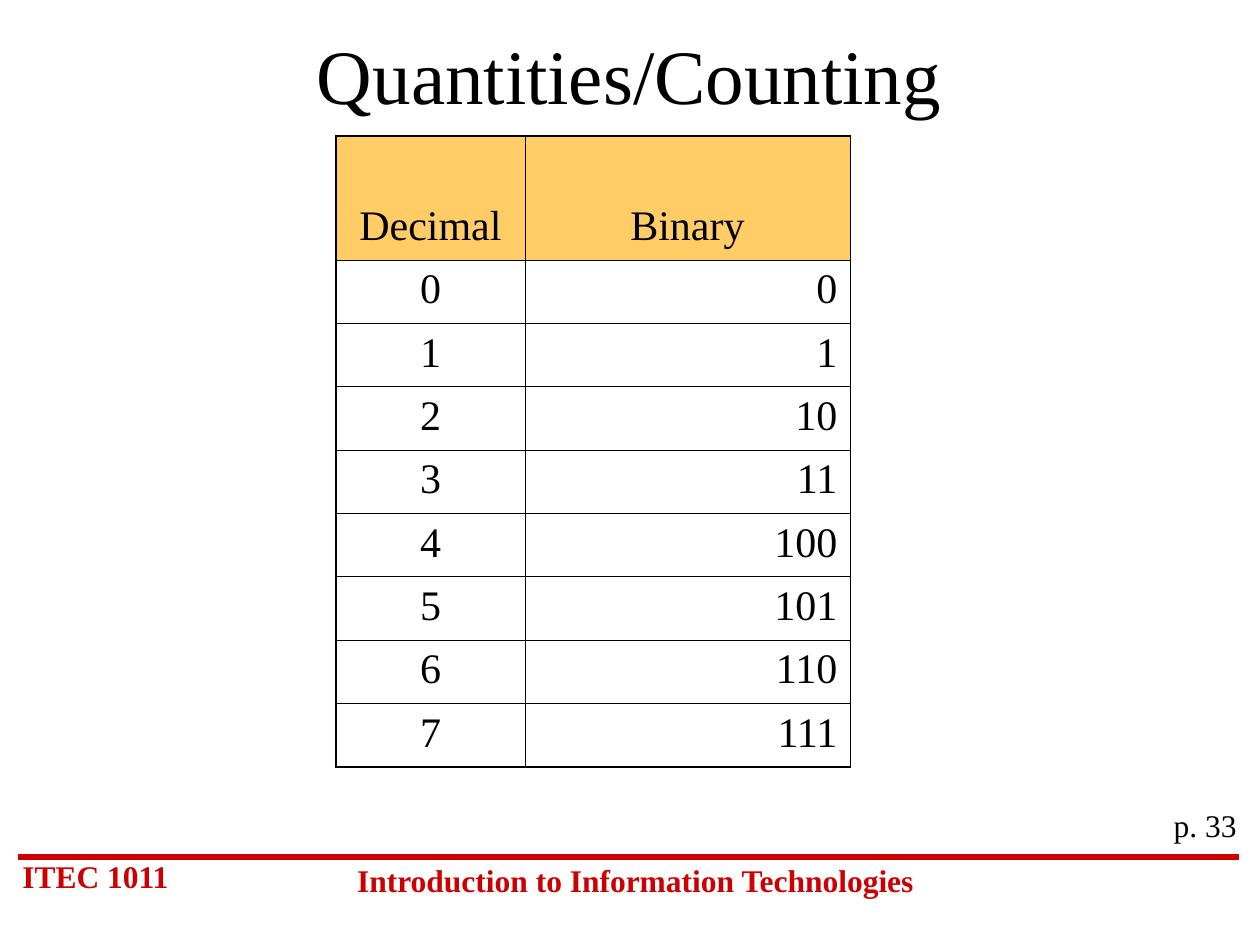
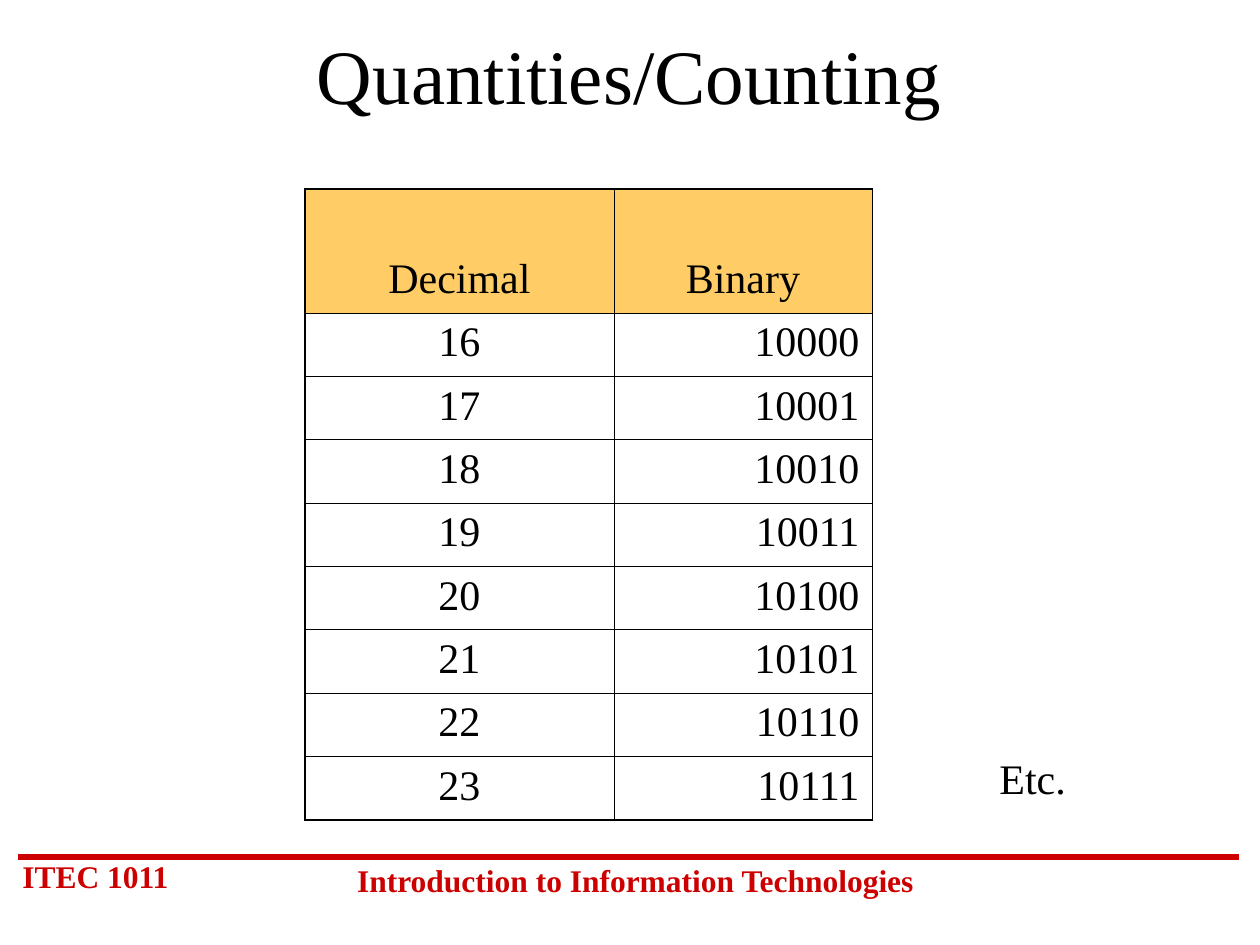
import dataclasses

import lxml.etree
import pptx
import pptx.dml.color
import pptx.enum.shapes
import pptx.enum.text
import pptx.oxml.ns
import pptx.util

ALIGN = pptx.enum.text.PP_ALIGN
ANCHOR = pptx.enum.text.MSO_ANCHOR
EMU_PER_PX = 914400 / 126


@dataclasses.dataclass(frozen=True)
class Theme:
    font: str = "Times New Roman"
    ink: str = "000000"
    accent: str = "CC0000"
    header: str = "FFCC66"
    title_size: int = 44
    body_size: int = 24
    small_size: int = 18
    rule_width: float = 3
    thin_border: float = 0.45
    thick_border: float = 1.08


THEME = Theme()
FOOTER_FORMAT = {"size": THEME.small_size, "color": THEME.accent, "bold": True}
HEADER_HEIGHT = 124


def px(length):
    return pptx.util.Emu(round(length * EMU_PER_PX))


def rgb(color):
    return pptx.dml.color.RGBColor.from_string(color)


def set_attributes(target, values):
    for name, value in values.items():
        setattr(target, name, value)


def write(text_frame, text, size, color=THEME.ink, bold=False, align=ALIGN.LEFT):
    paragraph = text_frame.paragraphs[0]
    paragraph.alignment = align
    run = paragraph.add_run()
    run.text = text
    set_attributes(run.font, {"name": THEME.font, "size": pptx.util.Pt(size), "bold": bold})
    run.font.color.rgb = rgb(color)


def add_text(slide, box, text, size, anchor=ANCHOR.TOP, wrap=True, **text_format):
    text_frame = slide.shapes.add_textbox(*map(px, box)).text_frame
    set_attributes(text_frame, {"word_wrap": wrap, "vertical_anchor": anchor})
    write(text_frame, text, size, **text_format)


def add_title(slide, box, text):
    add_text(slide, box, text, THEME.title_size, anchor=ANCHOR.MIDDLE, align=ALIGN.CENTER)


def add_footer(slide, box):
    """Draw the rule along the top of the box, with course code and name below it."""
    left, top, width, height = box
    rule = slide.shapes.add_connector(
        pptx.enum.shapes.MSO_CONNECTOR.STRAIGHT,
        px(left), px(top), px(left + width), px(top))
    rule.line.color.rgb = rgb(THEME.accent)
    rule.line.width = pptx.util.Pt(THEME.rule_width)
    lxml.etree.SubElement(rule._element.spPr, pptx.oxml.ns.qn("a:effectLst"))
    add_text(slide, (left - 8, top - 6, 189, height), "ITEC 1011", **FOOTER_FORMAT)
    add_text(slide, (left + 318, top - 2, 599, height),
             "Introduction to Information Technologies", align=ALIGN.CENTER, **FOOTER_FORMAT)


def set_borders(cell, widths):
    """Add black borders; widths run left, right, top, bottom in points."""
    properties = cell._tc.get_or_add_tcPr()
    for side, width in zip("LRTB", widths):
        line = lxml.etree.SubElement(
            properties, pptx.oxml.ns.qn(f"a:ln{side}"), w=str(pptx.util.Pt(width)))
        fill = lxml.etree.SubElement(line, pptx.oxml.ns.qn("a:solidFill"))
        lxml.etree.SubElement(fill, pptx.oxml.ns.qn("a:srgbClr"), val=THEME.ink)


def add_counting_table(slide, box, decimal_width, numbers):
    left, top, width, height = box
    rows = [("Decimal", "Binary")] + [(str(number), f"{number:b}") for number in numbers]
    table = slide.shapes.add_table(len(rows), 2, *map(px, box)).table
    set_attributes(table, {"first_row": False, "horz_banding": False})
    for column, column_width in zip(table.columns, (decimal_width, width - decimal_width)):
        column.width = px(column_width)
    body_height = (height - HEADER_HEIGHT) / len(numbers)

    for row_index, texts in enumerate(rows):
        is_header = row_index == 0
        is_last = row_index == len(rows) - 1
        table.rows[row_index].height = px(HEADER_HEIGHT if is_header else body_height)
        for column_index, text in enumerate(texts):
            cell = table.cell(row_index, column_index)
            is_thick = (column_index == 0, False, is_header, is_last)
            set_borders(cell, [THEME.thick_border if thick else THEME.thin_border
                               for thick in is_thick])
            if is_header:
                cell.fill.solid()
                cell.fill.fore_color.rgb = rgb(THEME.header)
                set_attributes(cell, {"vertical_anchor": ANCHOR.BOTTOM, "margin_bottom": px(10)})
            else:
                cell.fill.background()
            centered = is_header or column_index == 0
            write(cell.text_frame, text, THEME.body_size,
                  align=ALIGN.CENTER if centered else ALIGN.RIGHT)


def add_counting_slide(presentation, table_box, decimal_width, numbers):
    slide = presentation.slides.add_slide(presentation.slide_layouts[6])
    add_footer(slide, (18, 857, 1221, 50))
    add_title(slide, (94, 21, 1071, 105), "Quantities/Counting")
    add_counting_table(slide, table_box, decimal_width, numbers)
    return slide


def main():
    presentation = pptx.Presentation()
    set_attributes(presentation, {"slide_width": px(1260), "slide_height": px(945)})

    first_slide = add_counting_slide(presentation, (336, 136, 514, 631), 189, range(8))
    add_text(first_slide, (1102, 800, 147, 50), "p. 33", THEME.small_size, align=ALIGN.RIGHT)

    second_slide = add_counting_slide(presentation, (305, 189, 567, 631), 309, range(16, 24))
    add_text(second_slide, (987, 746, 92, 63), "Etc.", THEME.body_size, wrap=False)

    presentation.save("out.pptx")


if __name__ == "__main__":
    main()
